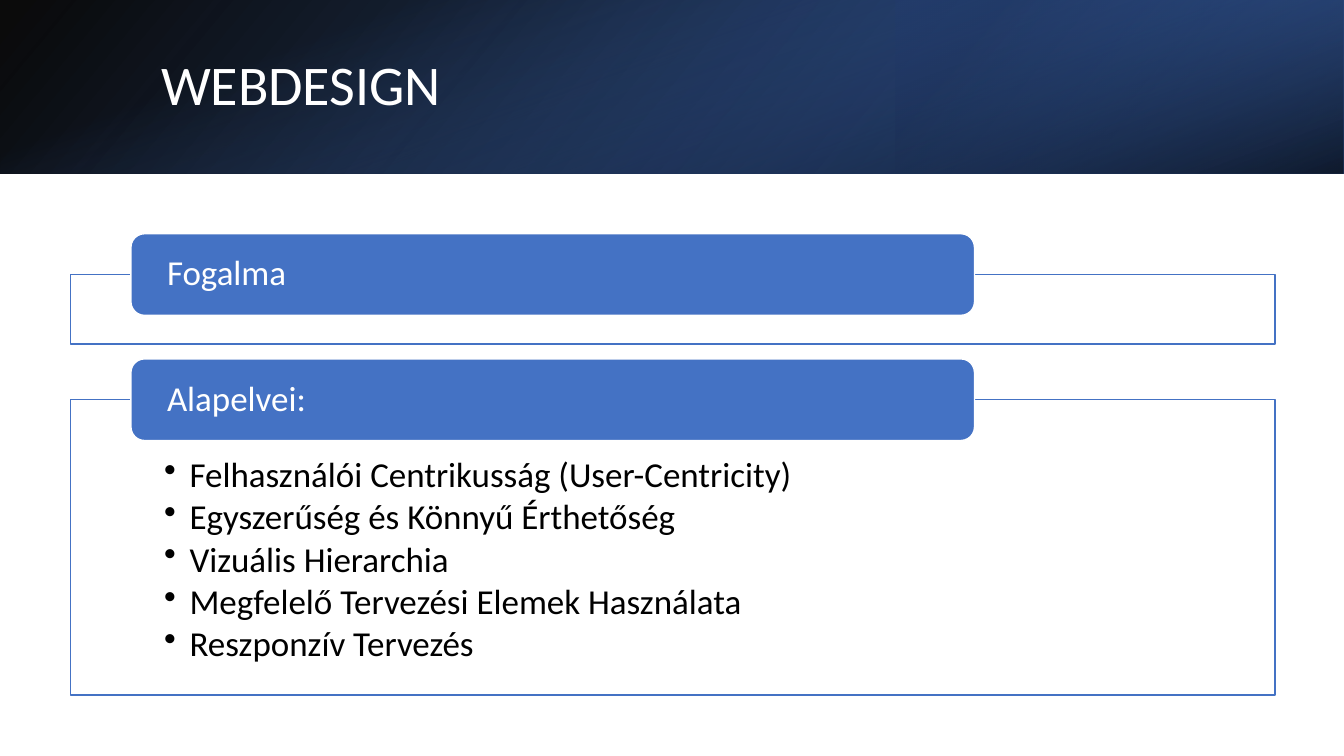
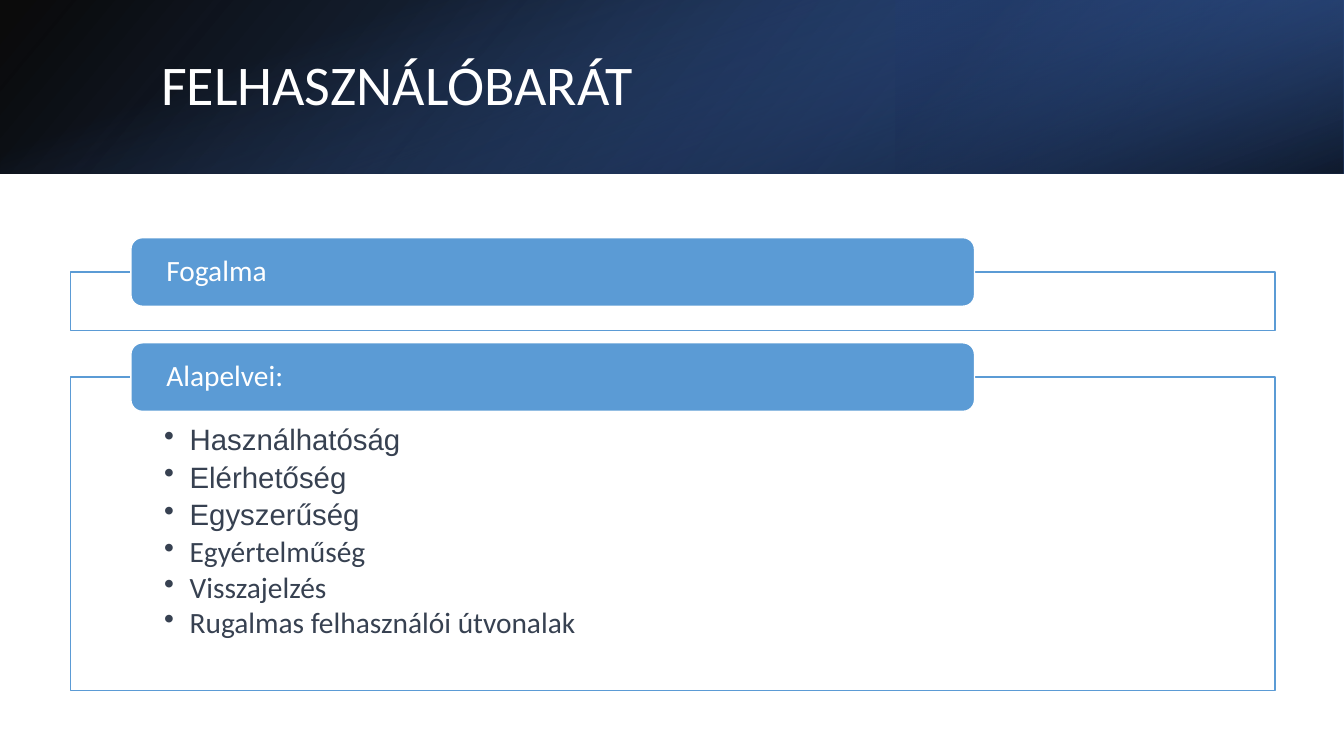
from lxml.etree import SubElement as Sub
from pptx import Presentation
from pptx.dml.color import RGBColor
from pptx.enum.shapes import MSO_SHAPE as Kind
from pptx.enum.text import MSO_ANCHOR as Anchor, PP_ALIGN as Align
from pptx.oxml import parse_xml
from pptx.oxml.ns import nsdecls, qn
from pptx.util import Cm, Pt

# Colours and fonts
WHITE = RGBColor(0xFF, 0xFF, 0xFF)
BLACK = RGBColor(0, 0, 0)
SLATE = RGBColor(0x37, 0x41, 0x51)
BLUE = RGBColor(0x44, 0x72, 0xC4)
SKY = RGBColor(0x5B, 0x9B, 0xD5)
NAVY = RGBColor(0x20, 0x38, 0x64)
DEEP = RGBColor(0x2F, 0x55, 0x97)
MAIN, ALT = "Calibri", "Arial"

# Lengths in cm
WIDE, HIGH, BAND = 33.87, 19.05, 4.37
# Space after a list line, as a share of the text size
AFTER = {MAIN: 0.13, ALT: 0.19}


class Deck:
    def __init__(self):
        self.prs = Presentation()
        self.prs.slide_width, self.prs.slide_height = Cm(WIDE), Cm(HIGH)
        self.slide = None

    def page(self, title):
        self.slide = self.prs.slides.add_slide(self.prs.slide_layouts[6])
        self.band()
        self.title(title)

    def shape(self, kind, x, y, w, h, fill=None, line=None):
        shape = self.slide.shapes.add_shape(kind, Cm(x), Cm(y), Cm(w), Cm(h))
        shape.shadow.inherit = False
        if fill is not None:
            shape.fill.solid()
            shape.fill.fore_color.rgb = fill
        if line is None:
            shape.line.fill.background()
        else:
            shape.line.color.rgb = line
            shape.line.width = Pt(1)
        return shape

    def fade(self, box, stops, angle, turn=0, flip=False):
        """Rectangle with a gradient; stops are (place %, colour, opacity %)."""
        shape = self.shape(Kind.RECTANGLE, *box)
        shape.rotation = turn
        props = shape._element.spPr
        if flip:
            props.find(qn("a:xfrm")).set("flipH", "1")
        grad = parse_xml(f'<a:gradFill {nsdecls("a")} rotWithShape="1"/>')
        row = Sub(grad, qn("a:gsLst"))
        for pos, color, alpha in stops:
            stop = Sub(row, qn("a:gs"), pos=str(pos * 1000))
            tint = Sub(stop, qn("a:srgbClr"), val=str(color))
            Sub(tint, qn("a:alpha"), val=str(alpha * 1000))
        Sub(grad, qn("a:lin"), ang=str(angle * 60000), scaled="0")
        props.find(qn("a:prstGeom")).addnext(grad)

    def band(self):
        third, mid = WIDE / 3, (WIDE - BAND) / 2
        self.fade((0, 0, WIDE, BAND), [(0, BLACK, 96), (100, DEEP, 100)],
                  140, flip=True)
        self.fade((WIDE - third, 0, third, BAND),
                  [(19, NAVY, 68), (100, BLUE, 79)], 320, 180, True)
        self.fade((mid, -mid, BAND, WIDE),
                  [(23, BLUE, 0), (99, BLACK, 74)], 340, 90)

    def label(self, para, text, size, color, font=MAIN):
        para.text = text
        para.line_spacing = 0.9
        para.font.size, para.font.name = Pt(size), font
        para.font.color.rgb = color

    def frame(self, shape, anchor, left=0.25, top=0.0):
        frame = shape.text_frame
        frame.word_wrap = True
        frame.vertical_anchor = anchor
        frame.margin_left = frame.margin_right = Cm(left)
        frame.margin_top, frame.margin_bottom = Cm(top), 0
        return frame

    def title(self, text):
        box = self.slide.shapes.add_textbox(
            Cm(3.81), Cm(0.97), Cm(27.88), Cm(2.44))
        frame = self.frame(box, Anchor.MIDDLE)
        self.label(frame.paragraphs[0], text, 40, WHITE)

    def tab(self, text, y, h, size, color):
        tab = self.shape(Kind.ROUNDED_RECTANGLE, 3.3, y, 21.26, h, color, WHITE)
        para = self.frame(tab, Anchor.MIDDLE, 0.81).paragraphs[0]
        para.alignment = Align.LEFT
        self.label(para, text, size, WHITE)

    def items(self, rows, y, size, color):
        box = self.slide.shapes.add_textbox(
            Cm(1.78), Cm(y), Cm(30.35), Cm(7))
        frame = self.frame(box, Anchor.TOP, 2.36, size * 0.058)
        for i, (text, font) in enumerate(rows):
            para = frame.add_paragraph() if i else frame.paragraphs[0]
            self.label(para, text, size, color, font)
            para.space_after = Pt(round(size * AFTER[font], 1))
            props = para._p.get_or_add_pPr()
            props.set("marL", str(Cm(0.64)))
            props.set("indent", str(-Cm(0.64)))
            dot = parse_xml(f'<a:buChar {nsdecls("a")} char="•"/>')
            props.find(qn("a:spcAft")).addnext(dot)

    def panels(self, y, size, color, ink, rows, depth):
        """Two framed panels; heights and gaps follow the text size."""
        tab, gap = size * 0.0823, size * 0.015
        for name, lines, h in (("Fogalma", [], size * 0.07),
                               ("Alapelvei:", rows, depth)):
            top = y + tab / 2
            self.shape(Kind.RECTANGLE, 1.78, top, 30.35, h, WHITE, color)
            if lines:
                self.items(lines, top, size, ink)
            self.tab(name, y, tab, size, color)
            y = top + h + gap


def main():
    deck = Deck()

    # Web design
    deck.page("WEBDESIGN")
    rows = ["Felhasználói Centrikusság (User-Centricity)",
            "Egyszerűség és Könnyű Érthetőség",
            "Vizuális Hierarchia",
            "Megfelelő Tervezési Elemek Használata",
            "Reszponzív Tervezés"]
    deck.panels(5.89, 25, BLUE, BLACK, [(row, MAIN) for row in rows], 7.44)

    # User friendliness
    deck.page("FELHASZNÁLÓBARÁT")
    rows = [("Használhatóság", ALT), ("Elérhetőség", ALT),
            ("Egyszerűség", ALT), ("Egyértelműség", MAIN),
            ("Visszajelzés", MAIN), ("Rugalmas felhasználói útvonalak", MAIN)]
    deck.panels(5.99, 21, SKY, SLATE, rows, 7.9)

    deck.prs.save("out.pptx")


if __name__ == "__main__":
    main()
